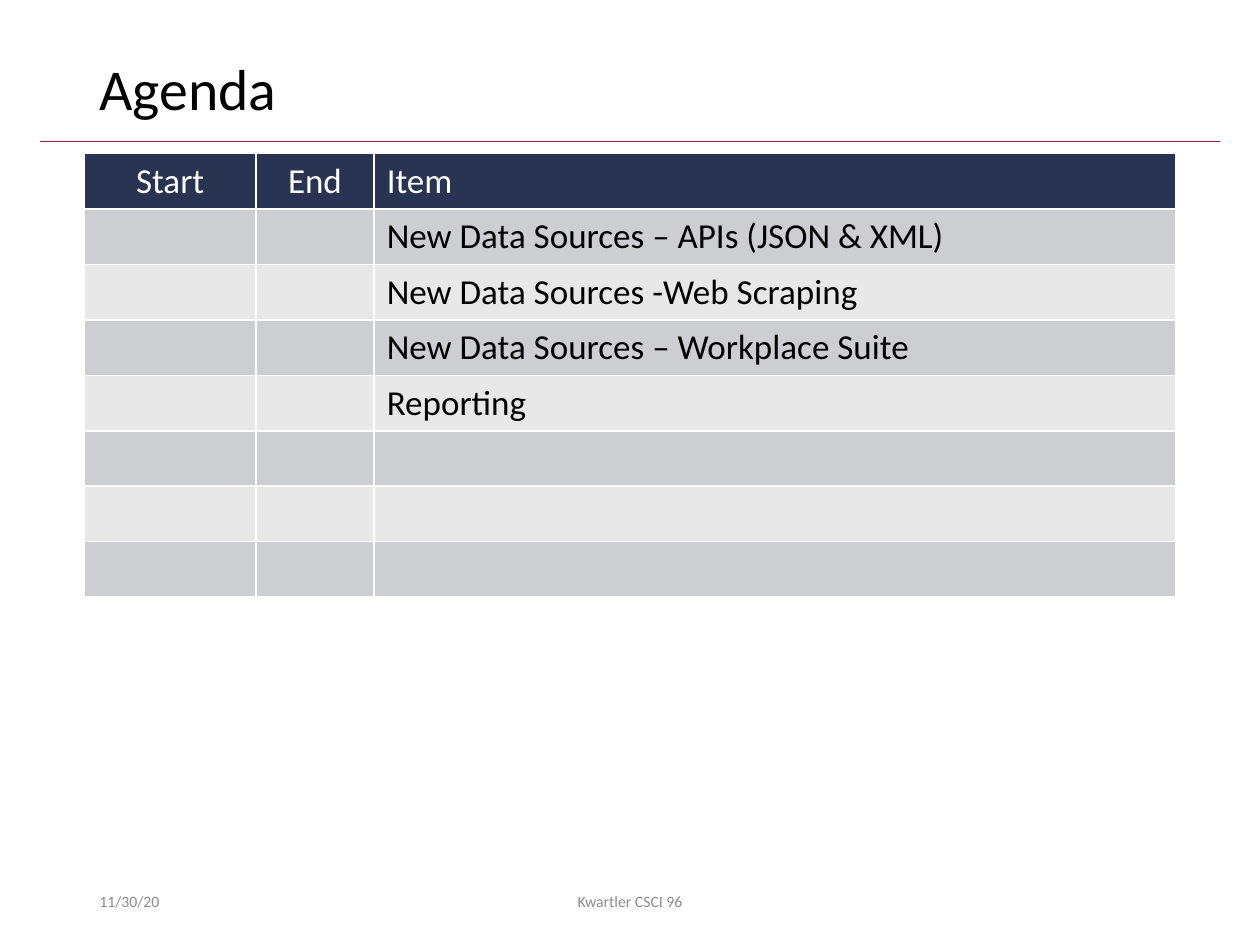
from lxml import etree
from pptx import Presentation
from pptx.dml.color import RGBColor
from pptx.enum.shapes import MSO_CONNECTOR
from pptx.enum.text import MSO_ANCHOR, PP_ALIGN
from pptx.oxml.ns import qn
from pptx.util import Inches, Pt

LEFT, CENTER = PP_ALIGN.LEFT, PP_ALIGN.CENTER
MIDDLE = MSO_ANCHOR.MIDDLE
STRAIGHT = MSO_CONNECTOR.STRAIGHT
FONT = "Calibri"
COLORS = {
    "rule": "A51C30",
    "text": "000000",
    "header": "293352",
    "white": "FFFFFF",
    "band_dark": "CDCED1",
    "band_light": "E8E8E9",
    "footer": "8C8C8C",
}


def add_run(p, text, size, color, align=LEFT):
    p.alignment = align
    r = p.add_run()
    r.text = text
    r.font.name = FONT
    r.font.size = Pt(size)
    r.font.color.rgb = RGBColor.from_string(COLORS[color])


def style_cell(cell, fill):
    """Give the cell thin white borders and a solid fill."""
    tcPr = cell._tc.get_or_add_tcPr()
    for side in ("a:lnL", "a:lnR", "a:lnT", "a:lnB"):
        ln = etree.SubElement(tcPr, qn(side), w=str(Pt(1)))
        solid = etree.SubElement(ln, qn("a:solidFill"))
        etree.SubElement(solid, qn("a:srgbClr"), val=COLORS["white"])
    cell.fill.solid()
    cell.fill.fore_color.rgb = RGBColor.from_string(COLORS[fill])


prs = Presentation()
prs.slide_width, prs.slide_height = Inches(10), Inches(7.5)
s = prs.slides.add_slide(prs.slide_layouts[6])

# Rule under the title
rule = s.shapes.add_connector(STRAIGHT, Inches(0.32), Inches(1.12), Inches(9.68), Inches(1.12))
rule.line.color.rgb = RGBColor.from_string(COLORS["rule"])
rule.line.width = Pt(0.5)
etree.SubElement(rule._element.spPr, qn("a:effectLst"))

# Title and footer texts
texts = [
    ("Agenda", (0.69, 0.4, 8.62, 0.65), 33, "text", LEFT, 0.9),
    ("11/30/20", (0.69, 6.95, 2.25, 0.4), 9, "footer", LEFT, 1.0),
    ("Kwartler CSCI 96", (3.31, 6.95, 3.38, 0.4), 9, "footer", CENTER, 1.0),
]
for text, box, size, color, align, spacing in texts:
    tf = s.shapes.add_textbox(*[Inches(v) for v in box]).text_frame
    tf.word_wrap = True
    tf.vertical_anchor = MIDDLE
    p = tf.paragraphs[0]
    p.line_spacing = spacing
    add_run(p, text, size, color, align)

# Agenda table
HEADERS = ["Start", "End", "Item"]
COL_WIDTHS = [1.36, 0.94, 6.36]
ITEMS = [
    "New Data Sources – APIs (JSON & XML)",
    "New Data Sources -Web Scraping",
    "New Data Sources – Workplace Suite",
    "Reporting",
    "",
    "",
    "",
]
ROW_HEIGHT = 0.44
rows = [HEADERS] + [["", "", item] for item in ITEMS]

table = s.shapes.add_table(
    len(rows), len(HEADERS), Inches(0.67), Inches(1.22),
    Inches(sum(COL_WIDTHS)), Inches(ROW_HEIGHT * len(rows))).table
for col, width in zip(table.columns, COL_WIDTHS):
    col.width = Inches(width)

for i, row in enumerate(rows):
    table.rows[i].height = Inches(ROW_HEIGHT)
    if i == 0:
        fill, color = "header", "white"
    else:
        fill, color = ("band_dark" if i % 2 else "band_light"), "text"
    for j, text in enumerate(row):
        cell = table.cell(i, j)
        style_cell(cell, fill)
        p = cell.text_frame.paragraphs[0]
        if text:
            add_run(p, text, 20, color, LEFT if j == 2 else CENTER)
            p.runs[0].font.bold = False

prs.save("out.pptx")
